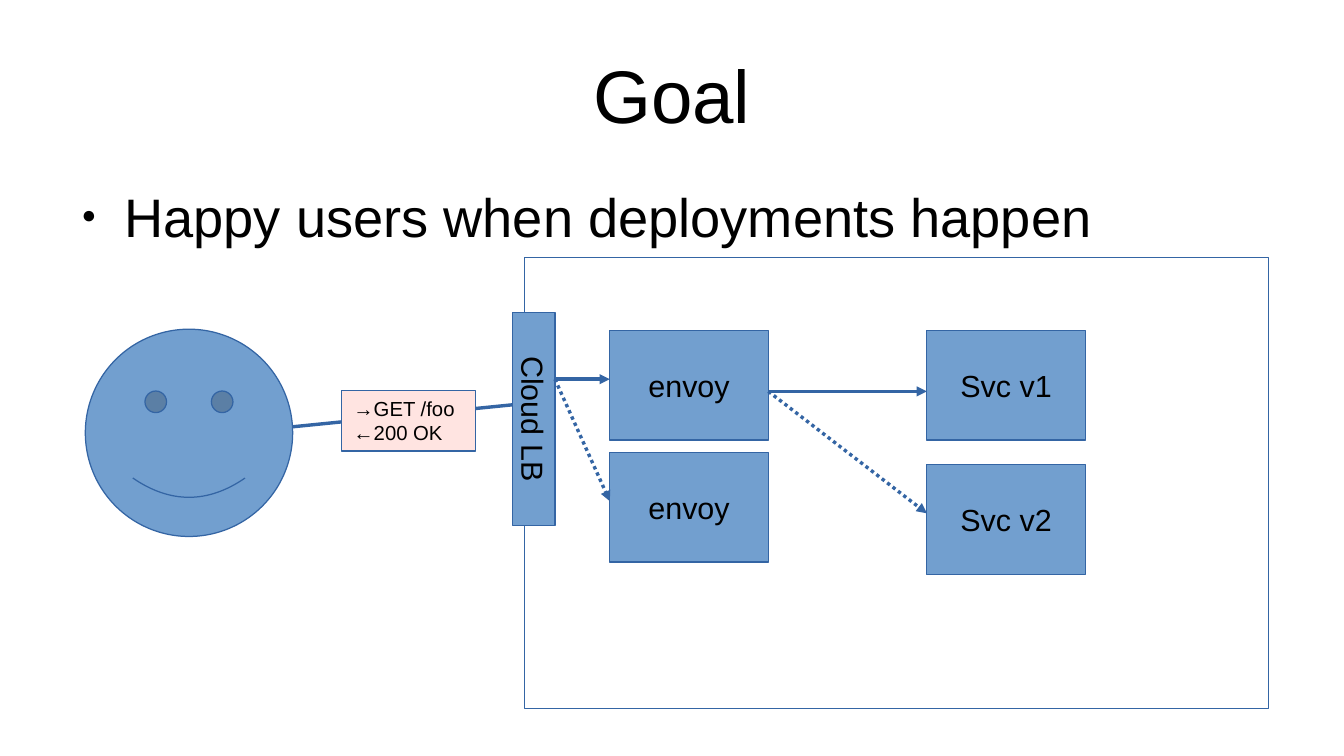
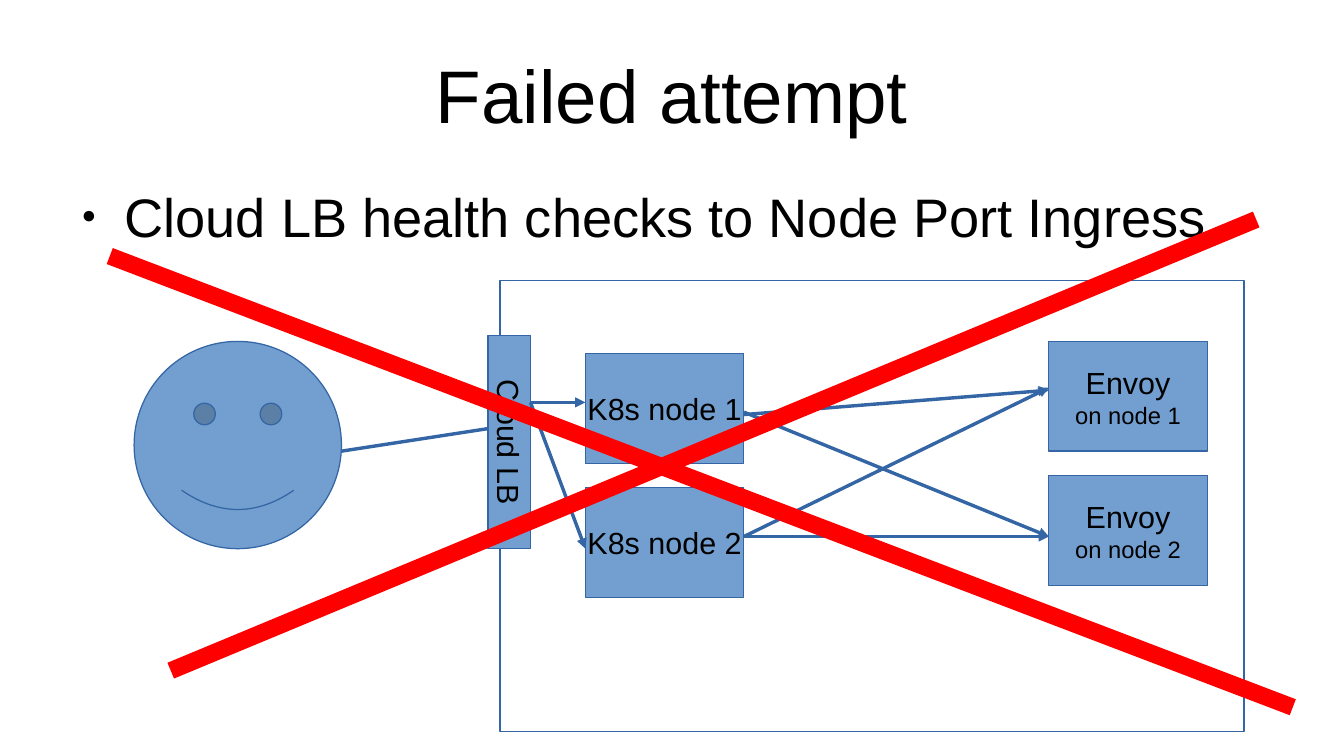
from lxml import etree
from pptx import Presentation
from pptx.dml.color import RGBColor
from pptx.enum.dml import MSO_LINE
from pptx.enum.shapes import MSO_CONNECTOR, MSO_SHAPE
from pptx.enum.text import MSO_ANCHOR, PP_ALIGN
from pptx.oxml.ns import qn
from pptx.util import Inches, Pt

BLACK = RGBColor(0x00, 0x00, 0x00)
BLUE = RGBColor(0x72, 0x9F, 0xCF)
EDGE = RGBColor(0x34, 0x65, 0xA4)
ROSE = RGBColor(0xFF, 0xE4, 0xE1)
RED = RGBColor(0xFF, 0x00, 0x00)
FONT = "Arial"

RECT, FACE = MSO_SHAPE.RECTANGLE, MSO_SHAPE.SMILEY_FACE
STRAIGHT = MSO_CONNECTOR.STRAIGHT
DOTS = MSO_LINE.ROUND_DOT
LEFT, CENTER = PP_ALIGN.LEFT, PP_ALIGN.CENTER
MIDDLE = MSO_ANCHOR.MIDDLE

NODE = (1.3, 0.9)
FRAME = (6.1, 3.7)
USER = (1.7, 1.7)
LB = (1.75, 0.35)

# Places are left, top; links are from x, y, to x, y, dotted
SLIDES = [
    dict(
        title="Goal",
        point="Happy users when deployments happen",
        frame=(4.3, 2.11), user=(0.7, 2.7), lb=(3.5, 3.26),
        nodes=[("envoy", 5, 2.71), ("envoy", 5, 3.71),
               ("Svc v1", 7.6, 2.71), ("Svc v2", 7.6, 3.81)],
        call=(2.4, 3.5, 4.3, 3.31),
        links=[(4.55, 3.11, 5, 3.11, False), (4.55, 3.11, 5, 4.11, True),
               (6.3, 3.21, 7.6, 3.21, False), (6.3, 3.21, 7.6, 4.21, True)],
        note="→GET /foo\n←200 OK",
        cross=[],
    ),
    dict(
        title="Failed attempt",
        point="Cloud LB health checks to Node Port Ingress",
        frame=(4.1, 2.3), user=(1.1, 2.8), lb=(3.3, 3.45),
        nodes=[("K8s node 1", 4.8, 2.9), ("K8s node 2", 4.8, 4),
               ("Envoy\von node 1", 8.6, 2.8),
               ("Envoy\von node 2", 8.6, 3.9)],
        call=(2.8, 3.7, 4.1, 3.5),
        links=[(4.35, 3.3, 4.8, 3.3, False), (4.35, 3.3, 4.8, 4.5, False),
               (6.1, 3.4, 8.6, 3.2, False), (6.1, 3.38, 8.6, 4.4, False),
               (6.1, 4.4, 8.6, 3.18, False), (6.1, 4.4, 8.6, 4.4, False)],
        note="",
        cross=[(1.4, 5.5, 10.3, 1.8), (0.9, 2.1, 10.6, 5.8)],
    ),
]


def add_box(shapes, kind, place, size, fill=BLUE, text="", points=18,
            align=CENTER):
    box = shapes.add_shape(kind, *map(Inches, place + size))
    box.shadow.inherit = False
    if fill is None:
        box.fill.background()
    else:
        box.fill.solid()
        box.fill.fore_color.rgb = fill
    box.line.color.rgb = EDGE
    box.line.width = Pt(0)
    if text:
        frame = box.text_frame
        frame.text = text
        frame.word_wrap = False
        frame.vertical_anchor = MIDDLE
        for para in frame.paragraphs:
            para.alignment = align
            for row, run in enumerate(para.runs):
                run.font.name = FONT
                run.font.size = Pt(14 if row else points)
                run.font.color.rgb = BLACK
    return box


def add_line(shapes, ends, color=EDGE, width=0, arrow=True, dotted=False):
    link = shapes.add_connector(STRAIGHT, *map(Inches, ends))
    link.line.color.rgb = color
    link.line.width = Pt(width)
    if dotted:
        link.line.dash_style = DOTS
    props = link.element.spPr
    if arrow:
        etree.SubElement(props.find(qn("a:ln")), qn("a:tailEnd"),
                         type="triangle")
    etree.SubElement(props, qn("a:effectLst"))


deck = Presentation()
deck.slide_width = Inches(11.02)
deck.slide_height = Inches(6.2)

for data in SLIDES:
    shapes = deck.slides.add_slide(deck.slide_layouts[6]).shapes

    # Title and bullet
    for text, top, height, size in [(data["title"], 0.25, 1.04, 44),
                                    (data["point"], 1.45, 0.65, 32)]:
        box = shapes.add_textbox(Inches(0.55), Inches(top),
                                 Inches(9.92), Inches(height))
        frame = box.text_frame
        frame.word_wrap = True
        frame.margin_left = frame.margin_right = 0
        frame.margin_top = frame.margin_bottom = 0
        frame.text = text
        para = frame.paragraphs[0]
        if size == 44:
            frame.vertical_anchor = MIDDLE
            para.alignment = CENTER
        else:
            frame.margin_top = Inches(0.05)
            props = para._p.get_or_add_pPr()
            props.set("marL", str(Inches(0.47)))
            props.set("indent", str(Inches(-0.35)))
            tint = etree.SubElement(props, qn("a:buClr"))
            etree.SubElement(tint, qn("a:srgbClr"), val=str(BLACK))
            etree.SubElement(props, qn("a:buSzPct"), val="45000")
            etree.SubElement(props, qn("a:buFont"), typeface=FONT)
            etree.SubElement(props, qn("a:buChar"), char="●")
        font = para.runs[0].font
        font.name, font.size = FONT, Pt(size)
        font.color.rgb = BLACK

    # Cluster, nodes and user
    add_box(shapes, RECT, data["frame"], FRAME, fill=None)
    for text, left, top in data["nodes"]:
        add_box(shapes, RECT, (left, top), NODE, text=text)
    face = add_box(shapes, FACE, data["user"], USER)
    face.adjustments[0] = 0.0465

    # Load balancer over the end of the user's line
    add_line(shapes, data["call"])
    add_box(shapes, RECT, data["lb"], LB, text="Cloud LB").rotation = 90

    # Traffic
    for *ends, dotted in data["links"]:
        add_line(shapes, ends, dotted=dotted)
    if data["note"]:
        add_box(shapes, RECT, (2.8, 3.2), (1.1, 0.5), ROSE, data["note"],
                12, LEFT)

    # Red cross
    if data["cross"]:
        group = shapes.add_group_shape()
        for ends in data["cross"]:
            add_line(group.shapes, ends, RED, 10.09, arrow=False)

deck.save("out.pptx")
